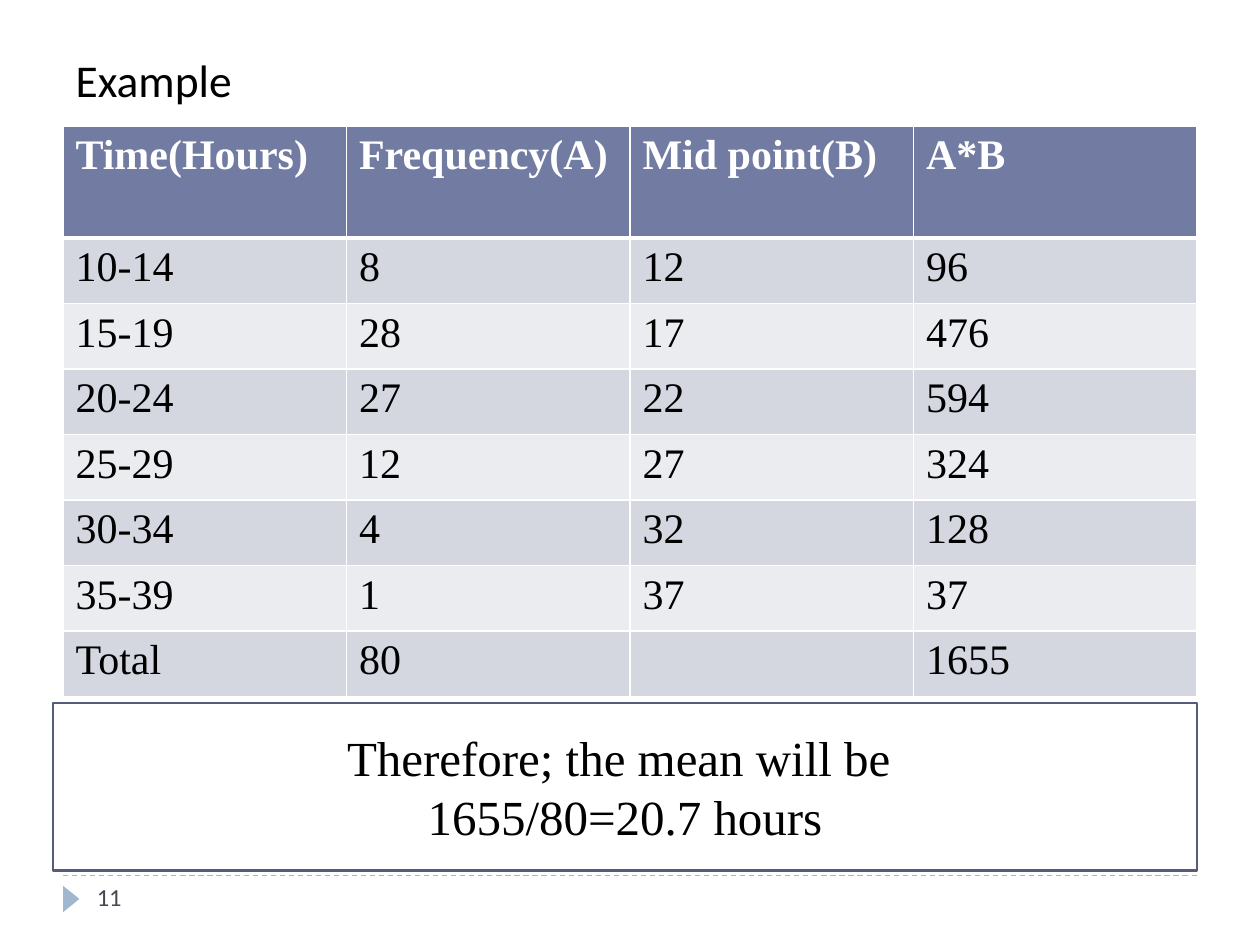
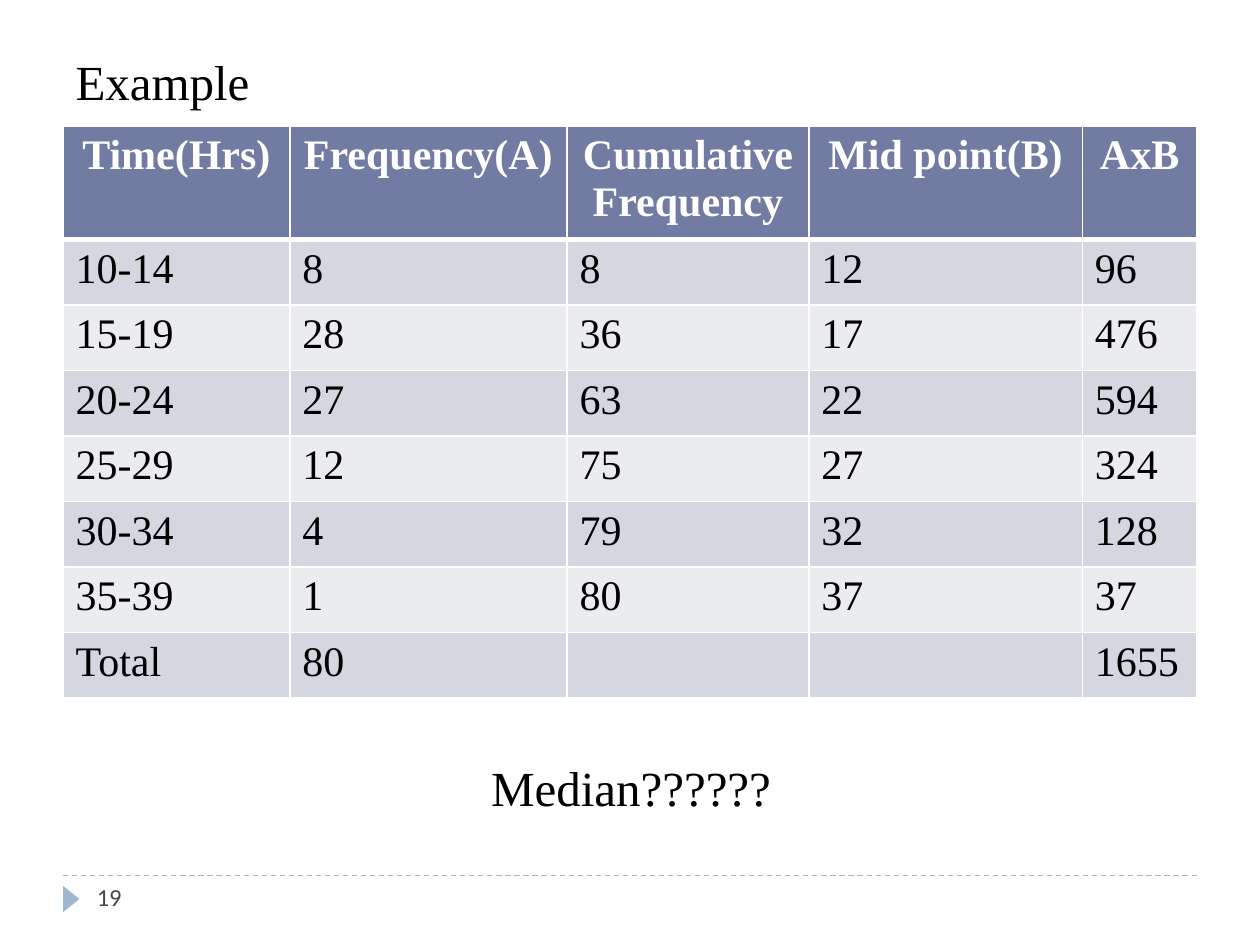
from dataclasses import dataclass
from itertools import accumulate

from pptx import Presentation, oxml
from pptx import util as u
from pptx.dml import color as c
from pptx.enum import dml, shapes, text
from pptx.oxml import ns

IN = u.Inches
LEFT, WIDE = 0.5, 9
HEAD, ROW = 0.89, 0.52


@dataclass(frozen=True)
class Theme:
    ink: str = "000000"
    white: str = "FFFFFF"
    head: str = "727CA3"
    bands: tuple = ("D5D7E0", "EBECF0")
    edge: str = "545C79"
    accent: str = "9FB8CD"
    page: str = "464653"
    sans: str = "Calibri"
    serif: str = "Times New Roman"
    small: int = 14
    cell: int = 24
    lead: int = 26
    large: int = 28


class Deck:
    def __init__(self, theme):
        self.theme = theme
        self.prs = Presentation()
        self.prs.slide_width, self.prs.slide_height = IN(10), IN(7.5)
        self.slide = None

    def start(self, title, font, size, page):
        self.slide = self.prs.slides.add_slide(self.prs.slide_layouts[5])
        self.title(title, font, size)
        self.footer(page)

    def add_text(self, para, words, font, size, color, bold=False, align=text.PP_ALIGN.LEFT):
        para.alignment = align
        run = para.add_run()
        run.text = words
        run.font.name, run.font.size, run.font.bold = font, u.Pt(size), bold
        run.font.color.rgb = c.RGBColor.from_string(color)

    def paint(self, fill, color):
        fill.solid()
        fill.fore_color.rgb = c.RGBColor.from_string(color)

    def title(self, words, font, size):
        box = self.slide.shapes.title
        box.left, box.top, box.width, box.height = IN(LEFT), IN(0.36), IN(WIDE), IN(0.6)
        frame = box.text_frame
        frame.vertical_anchor = text.MSO_ANCHOR.TOP
        frame.auto_size = text.MSO_AUTO_SIZE.NONE
        self.add_text(frame.paragraphs[0], words, font, size, self.theme.ink)

    def shape(self, kind, left, top, width, height, fill, edge=None):
        item = self.slide.shapes.add_shape(kind, IN(left), IN(top), IN(width), IN(height))
        item.shadow.inherit = False
        self.paint(item.fill, fill)
        if edge:
            item.line.color.rgb = c.RGBColor.from_string(edge)
            item.line.width = u.Pt(1.5)
        else:
            item.line.fill.background()
        return item

    def footer(self, page):
        t = self.theme
        rule = self.slide.shapes.add_connector(
            shapes.MSO_CONNECTOR.STRAIGHT, IN(LEFT), IN(6.95), IN(LEFT + WIDE), IN(6.95))
        rule.line.color.rgb = c.RGBColor.from_string(t.accent)
        rule.line.width = u.Pt(0.75)
        rule.line.dash_style = dml.MSO_LINE.DASH
        rule._element.spPr.append(oxml.parse_xml(f"<a:effectLst {ns.nsdecls('a')}/>"))
        mark = self.shape(shapes.MSO_SHAPE.ISOSCELES_TRIANGLE, 0.46, 7.07, 0.21, 0.13, t.accent)
        mark.rotation = 90
        box = self.slide.shapes.add_textbox(IN(0.67), IN(6.95), IN(2.17), IN(0.4))
        box.text_frame.word_wrap = True
        self.add_text(box.text_frame.paragraphs[0], str(page), t.sans, t.small, t.page)

    def border(self, cell, base):
        """Draw white cell edges; base is the width of the bottom edge in points."""
        props = cell._tc.get_or_add_tcPr()
        for side, width in zip("LRTB", (1, 1, 1, base)):
            props.append(oxml.parse_xml(
                f'<a:ln{side} {ns.nsdecls("a")} w="{u.Pt(width)}"><a:solidFill>'
                f'<a:srgbClr val="{self.theme.white}"/></a:solidFill></a:ln{side}>'))

    def table(self, rows, widths, align):
        t = self.theme
        grid = self.slide.shapes.add_table(
            len(rows), len(widths), IN(LEFT), IN(1), IN(WIDE),
            IN(HEAD + ROW * (len(rows) - 1))).table
        grid.horz_banding = False
        for col, width in zip(grid.columns, widths):
            col.width = IN(width)
        for i, row in enumerate(rows):
            top = i == 0
            grid.rows[i].height = IN(HEAD if top else ROW)
            for j, value in enumerate(row):
                cell = grid.cell(i, j)
                self.border(cell, 3 if top else 1)
                self.paint(cell.fill, t.head if top else t.bands[(i - 1) % 2])
                if value != "":
                    self.add_text(cell.text_frame.paragraphs[0], str(value), t.serif, t.cell,
                                  t.white if top else t.ink, top,
                                  align if top else text.PP_ALIGN.LEFT)

    def answer(self, lines, edge):
        t = self.theme
        box = self.shape(shapes.MSO_SHAPE.RECTANGLE, 0.42, 5.58, 9.08, 1.33, t.white, edge)
        frame = box.text_frame
        frame.word_wrap = True
        frame.vertical_anchor = text.MSO_ANCHOR.MIDDLE
        for i, line in enumerate(lines):
            para = frame.add_paragraph() if i else frame.paragraphs[0]
            self.add_text(para, line, t.serif, t.large, t.ink, align=text.PP_ALIGN.CENTER)


def main():
    theme = Theme()
    deck = Deck(theme)
    spans = [f"{low}-{low + 4}" for low in range(10, 40, 5)]
    freqs = [8, 28, 27, 12, 4, 1]
    mids = range(12, 40, 5)
    prods = [a * b for a, b in zip(freqs, mids)]
    count, total = sum(freqs), sum(prods)

    deck.start("Example", theme.sans, theme.lead, 11)
    deck.table([("Time(Hours)", "Frequency(A)", "Mid point(B)", "A*B"),
                *zip(spans, freqs, mids, prods),
                ("Total", count, "", total)],
               [WIDE / 4] * 4, text.PP_ALIGN.LEFT)
    deck.answer(["Therefore; the mean will be ", f"{total}/{count}={total / count:.1f} hours"],
                theme.edge)

    deck.start("Example", theme.serif, theme.large, 19)
    deck.table([("Time(Hrs)", "Frequency(A)", "Cumulative Frequency", "Mid point(B)", "AxB"),
                *zip(spans, freqs, accumulate(freqs), mids, prods),
                ("Total", count, "", "", total)],
               [1.8, 2.2, 1.92, 2.17, 0.91], text.PP_ALIGN.CENTER)
    deck.answer([" Median??????"], theme.white)

    deck.prs.save("out.pptx")


if __name__ == "__main__":
    main()
